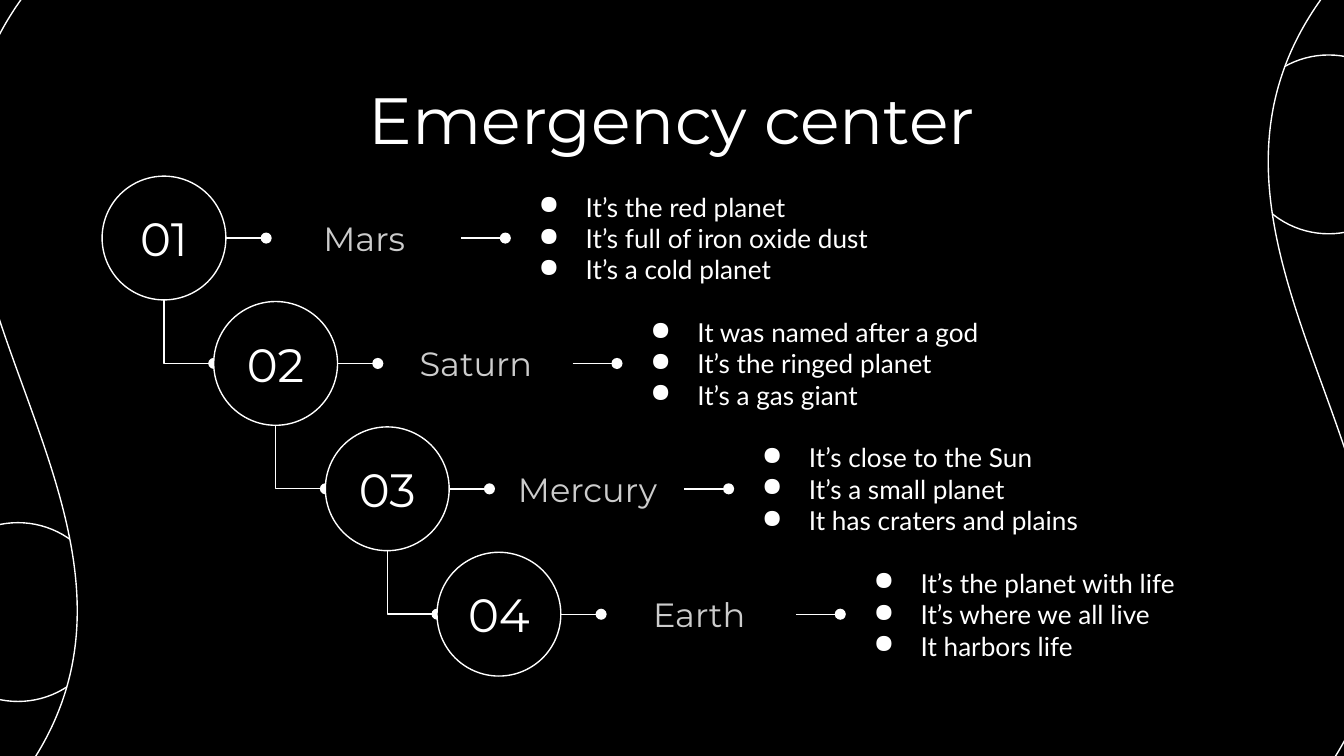
from lxml.etree import SubElement
from pptx import Presentation
from pptx.dml.color import RGBColor
from pptx.enum.shapes import MSO_CONNECTOR, MSO_SHAPE
from pptx.enum.text import MSO_ANCHOR, PP_ALIGN
from pptx.oxml.ns import qn
from pptx.util import Cm, Pt

BLACK, WHITE, GRAY = "000000", "FFFFFF", "CCCCCC"
FIRST_LEFT, FIRST_TOP = 1.93, 3.33
STEP_X, STEP_Y = 2.11, 2.37
DIAMETER = 2.34
LABEL_OFFSET, LABEL_WIDTH = 3.1, 3.71
DASH_OFFSET = 6.78
FACTS_OFFSET, FACTS_WIDTH = 7.62, 7.52

PLANETS = [
    ("Mars", ["It’s the red planet", "It’s full of iron oxide dust", "It’s a cold planet"]),
    ("Saturn", ["It was named after a god", "It’s the ringed planet", "It’s a gas giant"]),
    ("Mercury", ["It’s close to the Sun", "It’s a small planet", "It has craters and plains"]),
    ("Earth", ["It’s the planet with life", "It’s where we all live", "It harbors life"]),
]


def color(hex_code):
    return RGBColor.from_string(hex_code)


def add_outline(shapes, kind, left, top, width, height):
    outline = shapes.add_shape(kind, Cm(left), Cm(top), Cm(width), Cm(height))
    outline.shadow.inherit = False
    outline.fill.solid()
    outline.fill.fore_color.rgb = color(BLACK)
    outline.line.color.rgb = color(WHITE)
    outline.line.width = Pt(0.75)
    return outline


def add_bullet(paragraph):
    properties = paragraph._p.get_or_add_pPr()
    properties.set("marL", str(Cm(1.27)))
    properties.set("indent", str(-Cm(0.89)))
    bullet_color = SubElement(properties, qn("a:buClr"))
    SubElement(bullet_color, qn("a:srgbClr"), val=WHITE)
    SubElement(properties, qn("a:buChar"), char="●")


def write(shape, lines, font, size, hex_code, inset=0.25, anchor=MSO_ANCHOR.MIDDLE, bulleted=False):
    frame = shape.text_frame
    frame.word_wrap = True
    frame.vertical_anchor = anchor
    frame.margin_left = frame.margin_right = Cm(inset)
    frame.margin_top = frame.margin_bottom = Cm(inset)
    frame.text = "\n".join(lines)
    for paragraph in frame.paragraphs:
        if bulleted:
            add_bullet(paragraph)
        paragraph.alignment = PP_ALIGN.LEFT if bulleted else PP_ALIGN.CENTER
        paragraph.font.name = font
        paragraph.font.size = Pt(size)
        paragraph.font.color.rgb = color(hex_code)


def add_text(shapes, left, top, width, height, lines, font, size, hex_code, **options):
    box = shapes.add_textbox(Cm(left), Cm(top), Cm(width), Cm(height))
    write(box, lines, font, size, hex_code, **options)


def add_dotted_line(shapes, kind, x1, y1, x2, y2):
    connector = shapes.add_connector(kind, Cm(x1), Cm(y1), Cm(x2), Cm(y2))
    connector.line.color.rgb = color(WHITE)
    connector.line.width = Pt(0.75)
    properties = connector.element.spPr
    SubElement(properties.find(qn("a:ln")), qn("a:tailEnd"), type="oval")
    SubElement(properties, qn("a:effectLst"))
    return connector


def add_elbow(shapes, x, y, run, drop):
    left = x + (run - drop) / 2
    top = y + (drop - run) / 2
    elbow = add_dotted_line(shapes, MSO_CONNECTOR.ELBOW, left + drop, top, left, top + run)
    properties = elbow.element.spPr
    properties.find(qn("a:xfrm")).set("rot", "16200000")
    properties.find(qn("a:prstGeom")).set("prst", "bentConnector2")


def add_backdrop(slide):
    slide.background.fill.solid()
    slide.background.fill.fore_color.rgb = color(BLACK)
    for left, top in [(23.42, 1.04), (-1.35, 9.88)]:
        add_outline(slide.shapes, MSO_SHAPE.OVAL, left, top, 3.38, 3.38)
    wave = add_outline(slide.shapes, MSO_SHAPE.WAVE, 5.36, -6.05, 14.71, 26.7)
    wave.adjustments[0] = 0.04
    wave.adjustments[1] = 0
    wave.rotation = 270
    wave.element.spPr.find(qn("a:xfrm")).set("flipH", "1")


def add_links(shapes, left, top, is_last):
    middle = top + DIAMETER / 2
    if not is_last:
        center = left + DIAMETER / 2
        add_elbow(shapes, center, top + DIAMETER, STEP_X - DIAMETER / 2, STEP_Y - DIAMETER / 2)
    for start, end in [(DIAMETER, LABEL_OFFSET), (DASH_OFFSET, FACTS_OFFSET)]:
        add_dotted_line(shapes, MSO_CONNECTOR.STRAIGHT, left + start, middle, left + end, middle)


def add_planet(shapes, left, top, number, name, facts):
    group = shapes.add_group_shape().shapes
    add_text(group, left + FACTS_OFFSET, top, FACTS_WIDTH, DIAMETER,
             facts, "Lato", 14, WHITE, bulleted=True)
    add_text(group, left + LABEL_OFFSET, top, LABEL_WIDTH, DIAMETER,
             [name], "Montserrat", 18, GRAY)
    circle = add_outline(group, MSO_SHAPE.OVAL, left, top, DIAMETER, DIAMETER)
    write(circle, [f"{number:02}"], "Montserrat", 25, WHITE, inset=0)


def main():
    presentation = Presentation()
    presentation.slide_width = Cm(25.4)
    presentation.slide_height = Cm(14.29)
    slide = presentation.slides.add_slide(presentation.slide_layouts[6])
    add_backdrop(slide)
    add_text(slide.shapes, 2, 1.25, 21.4, 1.6, ["Emergency center"],
             "Montserrat", 35, WHITE, anchor=MSO_ANCHOR.TOP)

    corners = [(FIRST_LEFT + i * STEP_X, FIRST_TOP + i * STEP_Y) for i in range(len(PLANETS))]
    for left, top in corners:
        add_links(slide.shapes, left, top, is_last=(left, top) == corners[-1])
    for number, ((left, top), (name, facts)) in enumerate(zip(corners, PLANETS), start=1):
        add_planet(slide.shapes, left, top, number, name, facts)
    presentation.save("out.pptx")


if __name__ == "__main__":
    main()
